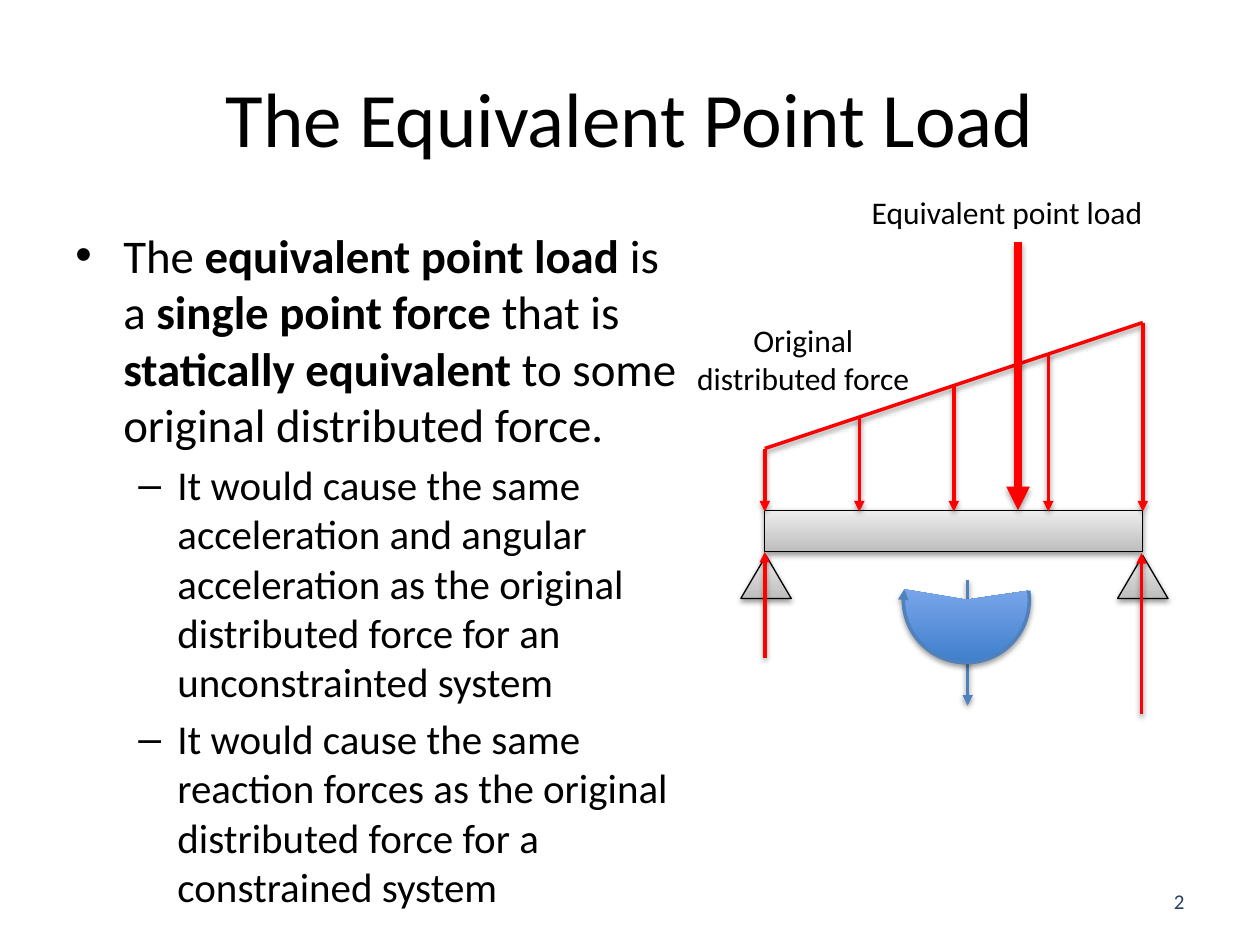
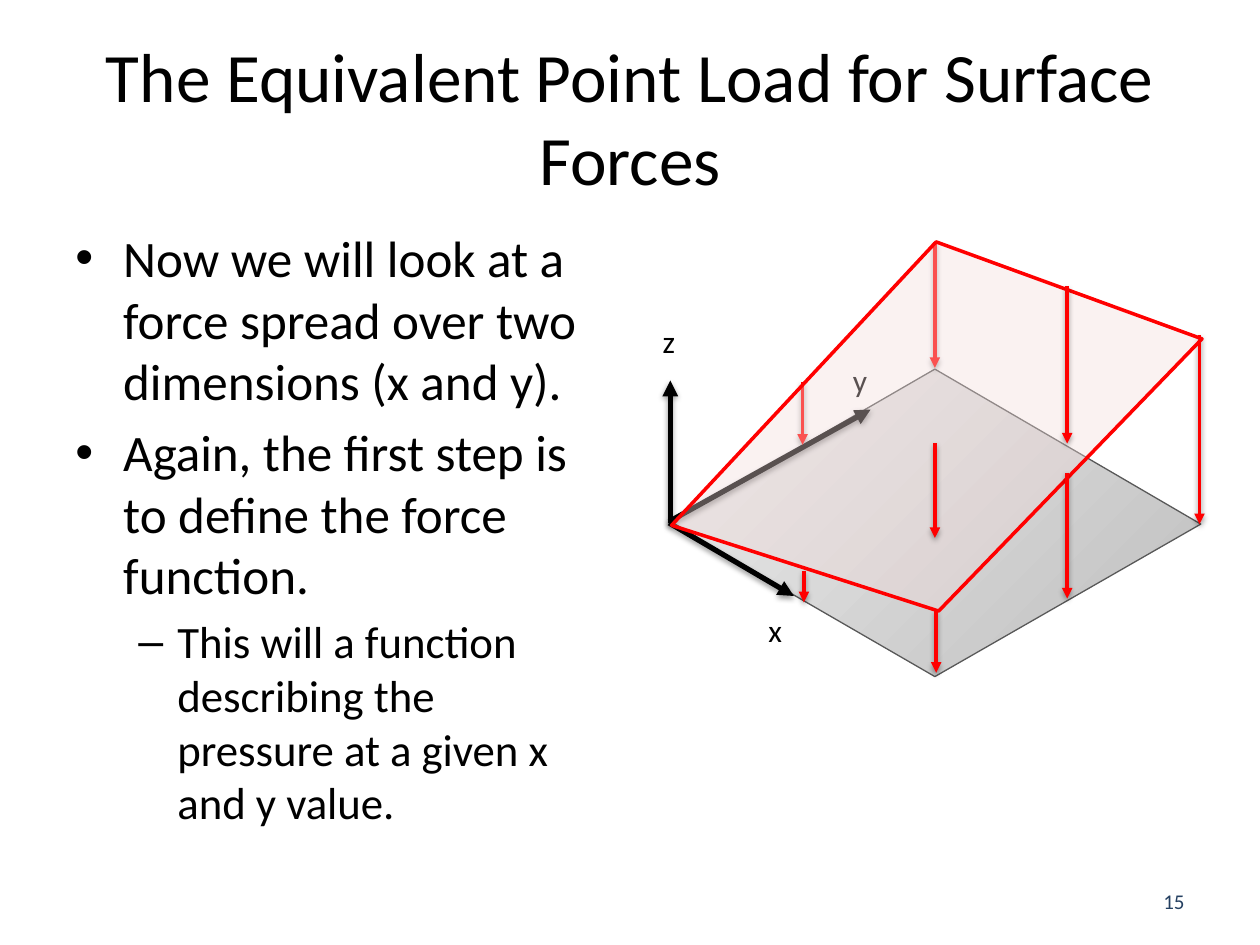
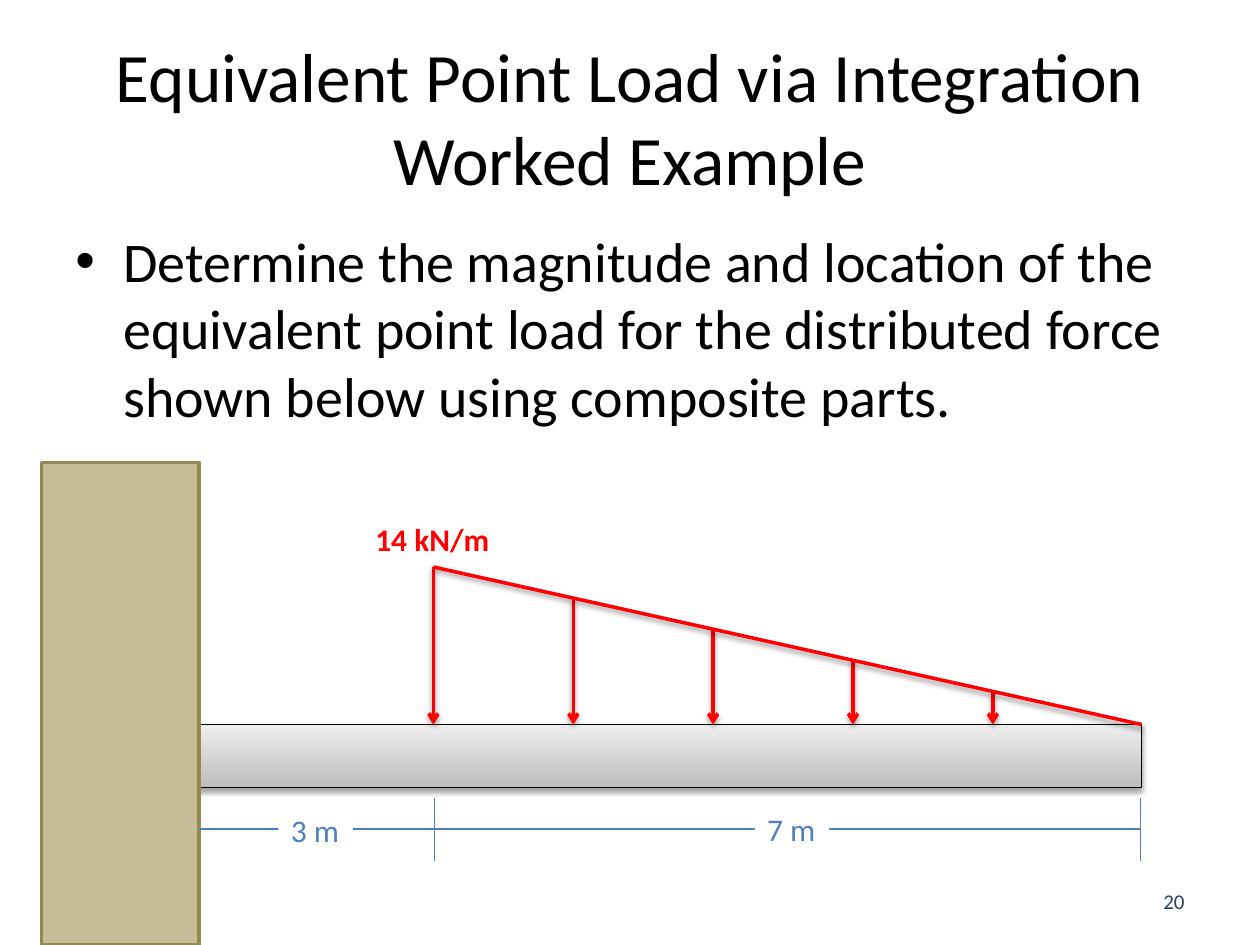
from lxml.etree import SubElement
from pptx import Presentation
from pptx.dml.color import RGBColor
from pptx.enum.shapes import MSO_CONNECTOR, MSO_SHAPE
from pptx.enum.text import MSO_ANCHOR, MSO_AUTO_SIZE, PP_ALIGN
from pptx.oxml.ns import qn
from pptx.util import Inches, Pt

FONT = "Calibri"
BLACK = RGBColor(0x00, 0x00, 0x00)
WHITE = RGBColor(0xFF, 0xFF, 0xFF)
FORCE = RGBColor(0xFF, 0x00, 0x00)
MOTION = RGBColor(0x4F, 0x81, 0xBD)
DIMENSION = RGBColor(0x4B, 0x7E, 0xBC)
NUMBER = RGBColor(0x25, 0x40, 0x61)
STEEL_DARK = RGBColor(0xBD, 0xBD, 0xBD)
STEEL_LIGHT = RGBColor(0xEE, 0xEE, 0xEE)
STEEL_EDGE = RGBColor(0x59, 0x59, 0x59)
PRESSURE = RGBColor(0xF2, 0xDC, 0xDB)
WALL = RGBColor(0xC4, 0xBD, 0x97)
WALL_EDGE = RGBColor(0x94, 0x8A, 0x54)
STRAIGHT = MSO_CONNECTOR.STRAIGHT
# Bullet character, left margin and hanging indent for each level
BULLETS = [("•", 0.38, -0.38), ("–", 0.81, -0.31)]


def write(shape, *paragraphs, sizes=(18,), color=BLACK, bold=False, bullets=False,
          align=PP_ALIGN.LEFT, anchor=MSO_ANCHOR.TOP, wrap=True):
    """Fill a shape with text; a leading '>' marks level two, '**' toggles bold."""
    frame = shape.text_frame
    frame.word_wrap = wrap
    frame.auto_size = MSO_AUTO_SIZE.NONE
    frame.vertical_anchor = anchor
    for index, text in enumerate(paragraphs):
        paragraph = frame.add_paragraph() if index else frame.paragraphs[0]
        paragraph.alignment = align
        level = int(text.startswith(">"))
        if bullets:
            mark, margin, indent = BULLETS[level]
            properties = paragraph._p.get_or_add_pPr()
            properties.set("marL", str(Inches(margin)))
            properties.set("indent", str(Inches(indent)))
            SubElement(properties, qn("a:buFont"), typeface="Arial")
            SubElement(properties, qn("a:buChar"), char=mark)
            paragraph.level = level
        if index:
            paragraph.space_before = Pt(0.2 * sizes[level])
        for part, words in enumerate(text.lstrip(">").split("**")):
            if words:
                run = paragraph.add_run()
                run.text = words
                run.font.name = FONT
                run.font.size = Pt(sizes[level])
                run.font.color.rgb = color
                run.font.bold = bold or part % 2 == 1


def style(shape, color=None, width=2, fill=None, steel=None, alpha=None, head=None, shadow=True):
    """Format an outline or a line; steel is the angle of a metal gradient."""
    if steel is not None:
        shape.fill.gradient()
        shape.fill.gradient_angle = steel
        for stop, shade in zip(shape.fill.gradient_stops, (STEEL_DARK, STEEL_LIGHT)):
            stop.color.rgb = shade
    elif fill is not None:
        shape.fill.solid()
        shape.fill.fore_color.rgb = fill
    properties = shape._element.spPr
    if alpha:
        shade = properties.find(qn("a:solidFill"))[0]
        SubElement(shade, qn("a:alpha"), val=str(alpha * 1000))
    if color is None:
        shape.line.fill.background()
    else:
        shape.line.color.rgb = color
        shape.line.width = Pt(width)
    if head:
        SubElement(shape.line._get_or_add_ln(), qn("a:tailEnd"), type=head)
    effects = SubElement(properties, qn("a:effectLst"))
    if shadow:
        outer = SubElement(effects, qn("a:outerShdw"), blurRad="40000", dist="20000",
                           dir="5400000", rotWithShape="0")
        SubElement(SubElement(outer, qn("a:srgbClr"), val="000000"), qn("a:alpha"), val="38000")


prs = Presentation()
prs.slide_width, prs.slide_height = Inches(10), Inches(7.5)

# Title, bullets and slide number of every slide
deck = [
    ("The Equivalent Point Load", 44, "2", (5.08, 4.67), (26.8, 23.4), [
        "The **equivalent point load **is a **single point force** that is "
        "**statically equivalent** to some original distributed force.",
        ">It would cause the same acceleration and angular acceleration as the original "
        "distributed force for an unconstrainted system",
        ">It would cause the same reaction forces as the original distributed force "
        "for a constrained system"]),
    ("The Equivalent Point Load for Surface Forces", 39.6, "15", (4.33, 4.95), (29.2, 25.6), [
        "Now we will look at a force spread over two dimensions (x and y).",
        "Again, the first step is to define the force function.",
        ">This will a function describing the pressure at a given x and y value."]),
    ("Equivalent Point Load via Integration Worked Example", 39.6, "20", (9, 2.17), (32,), [
        "Determine the magnitude and location of the equivalent point load for the "
        "distributed force shown below using composite parts."]),
]
for heading, heading_size, number, body_size, sizes, points in deck:
    slide = prs.slides.add_slide(prs.slide_layouts[5])
    title = slide.shapes.title
    title.left, title.top, title.width, title.height = map(Inches, (0.5, 0.3, 9, 1.25))
    write(title, heading, sizes=(heading_size,), align=PP_ALIGN.CENTER, anchor=MSO_ANCHOR.MIDDLE)
    body = slide.shapes.add_textbox(*map(Inches, (0.5, 1.75, *body_size)))
    write(body, *points, sizes=sizes, bullets=True)
    footer = slide.shapes.add_textbox(*map(Inches, (7.17, 6.95, 2.33, 0.4)))
    write(footer, number, sizes=(12,), color=NUMBER, align=PP_ALIGN.RIGHT,
          anchor=MSO_ANCHOR.MIDDLE)
beam_shapes, surface_shapes, example_shapes = [slide.shapes for slide in prs.slides]

# Slide 1: simply supported beam
BEAM_LEFT, BEAM_TOP, BEAM_SPAN, BEAM_DEPTH = 6.07, 4.05, 3, 0.33
BEAM_RIGHT = BEAM_LEFT + BEAM_SPAN
for support_left in (8.87, 5.88):
    support = beam_shapes.add_shape(MSO_SHAPE.ISOSCELES_TRIANGLE,
                                    *map(Inches, (support_left, 4.41, 0.4, 0.34)))
    style(support, BLACK, 0.75, steel=90)
beam = beam_shapes.add_shape(
    MSO_SHAPE.RECTANGLE, *map(Inches, (BEAM_LEFT, BEAM_TOP, BEAM_SPAN, BEAM_DEPTH)))
style(beam, BLACK, 0.75, steel=90)

# Distributed load, its point load, the motion and the reactions
beam_lines = [(BEAM_LEFT, 3.56, BEAM_RIGHT, 2.56, FORCE, 2, None)]
for step in range(5):
    x = BEAM_LEFT + step * BEAM_SPAN / 4
    beam_lines.append((x, 3.56 - step / 4, x, 4.06, FORCE, 2, "triangle"))
beam_lines += [
    (8.08, 1.92, 8.08, BEAM_TOP, FORCE, 4.5, "triangle"),
    (7.68, 4.6, 7.68, 5.6, MOTION, 2, "triangle"),
    (BEAM_LEFT, 5.22, BEAM_LEFT, 4.38, FORCE, 2, "triangle"),
    (9.06, 5.67, 9.06, 4.39, FORCE, 2, "triangle"),
]
for *ends, color, width, head in beam_lines:
    style(beam_shapes.add_connector(STRAIGHT, *map(Inches, ends)), color, width, head=head)
rotation = beam_shapes.add_shape(MSO_SHAPE.ARC, *map(Inches, (7.17, 4.26, 1, 1)))
rotation.adjustments[0], rotation.adjustments[1] = 211.03, 113.68
style(rotation, MOTION, head="triangle")

point_label = beam_shapes.add_textbox(*map(Inches, (6.82, 1.48, 2.43, 0.4)))
write(point_label, "Equivalent point load", wrap=False)
spread_label = beam_shapes.add_textbox(*map(Inches, (5.33, 2.5, 2.09, 0.71)))
write(spread_label, "Original distributed force", align=PP_ALIGN.CENTER)

# Slide 2: loaded plate, then the axes and arrows behind the pressure surface
plate_corners = [(5.31, 4.15), (7.42, 2.93), (9.53, 4.16), (7.42, 5.37)]
surface_corners = [(5.33, 4.17), (7.43, 1.92), (9.54, 2.69), (7.45, 4.85)]
behind = [
    (5.31, 4.14, 6.91, 3.25, BLACK, 3),
    (7.42, 1.92, 7.42, 2.92, FORCE, 2),
    (5.31, 4.15, 6.3, 4.73, BLACK, 3),
    (5.32, 4.15, 5.32, 3.02, BLACK, 3),
    (7.43, 4.84, 7.43, 5.34, FORCE, 2),
    (9.52, 2.66, 9.52, 4.16, FORCE, 2),
    (6.37, 3.03, 6.37, 3.53, FORCE, 2),
    (6.38, 4.53, 6.38, 4.78, FORCE, 2),
]
in_front = [
    (8.47, 3.75, 8.47, 4.75, FORCE, 2),
    (8.47, 2.27, 8.47, 3.52, FORCE, 2),
    (7.42, 3.52, 7.42, 4.27, FORCE, 2),
]
plate_look = dict(color=STEEL_EDGE, width=0.75, steel=135, shadow=False)
surface_look = dict(color=FORCE, fill=PRESSURE, alpha=37, shadow=False)
for corners, look, arrows, axis_names in [
    (plate_corners, plate_look, behind, [("x", 6, 4.8), ("y", 6.67, 2.82), ("z", 5.16, 2.51)]),
    (surface_corners, surface_look, in_front, []),
]:
    start, *others = [(Inches(x), Inches(y)) for x, y in corners]
    outline = surface_shapes.build_freeform(*start)
    outline.add_line_segments(others, close=True)
    style(outline.convert_to_shape(), **look)
    for *ends, color, width in arrows:
        arrow = surface_shapes.add_connector(STRAIGHT, *map(Inches, ends))
        style(arrow, color, width, head="triangle")
    for name, x, y in axis_names:
        axis_label = surface_shapes.add_textbox(*map(Inches, (x, y, 0.31, 0.4)))
        write(axis_label, name, wrap=False)

# Slide 3: cantilever and wall
cantilever = example_shapes.add_shape(MSO_SHAPE.RECTANGLE, *map(Inches, (1.23, 5.75, 7.83, 0.5)))
style(cantilever, BLACK, 0.75, steel=90)
wall = example_shapes.add_shape(MSO_SHAPE.RECTANGLE, *map(Inches, (0.33, 3.67, 1.25, 3.83)))
style(wall, WALL_EDGE, fill=WALL, shadow=False)

# Triangular load and dimension lines
LOAD_LEFT, LOAD_TOP, LOAD_STEP = 3.44, 4.5, 1.11
example_lines = []
for step in range(5):
    x = LOAD_LEFT + step * LOAD_STEP
    example_lines.append((x, LOAD_TOP + step / 4, x, 5.75, FORCE, 2, "arrow", True))
example_lines += [
    (LOAD_LEFT, LOAD_TOP, 9.06, 5.75, FORCE, 2, None, True),
    (9.05, 6.33, 9.05, 6.83, DIMENSION, 0.75, None, False),
    (3.45, 6.33, 3.45, 6.83, DIMENSION, 0.75, None, False),
    (1.58, 6.58, 9.05, 6.58, DIMENSION, 0.75, None, False),
]
for *ends, color, width, head, shadow in example_lines:
    line = example_shapes.add_connector(STRAIGHT, *map(Inches, ends))
    style(line, color, width, head=head, shadow=shadow)

for length, x, y in [("3 m", 2.21, 6.39), ("7 m", 5.99, 6.38)]:
    span_label = example_shapes.add_shape(MSO_SHAPE.RECTANGLE, *map(Inches, (x, y, 0.59, 0.4)))
    style(span_label, fill=WHITE, shadow=False)
    write(span_label, length, color=MOTION, wrap=False)
load_label = example_shapes.add_textbox(*map(Inches, (2.88, 4.08, 1.12, 0.4)))
write(load_label, "14 kN/m", color=FORCE, bold=True, wrap=False)

prs.save("out.pptx")
